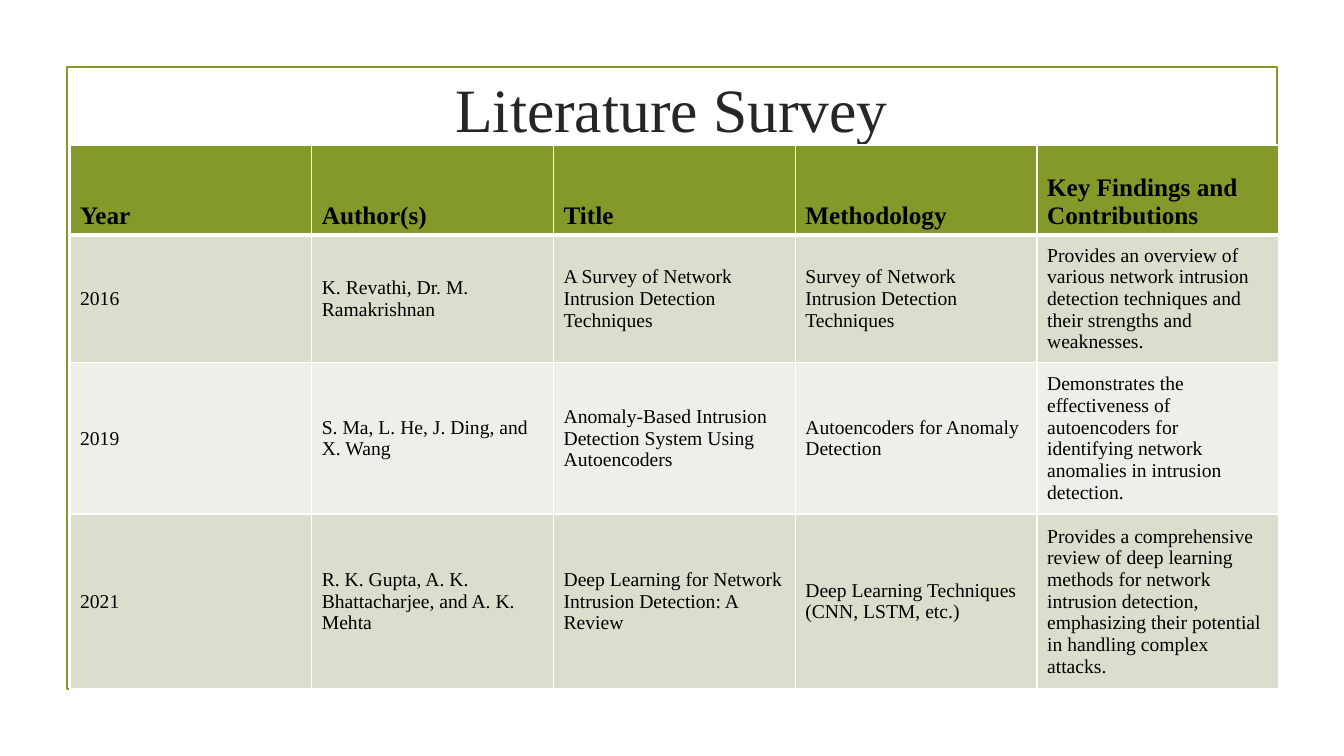
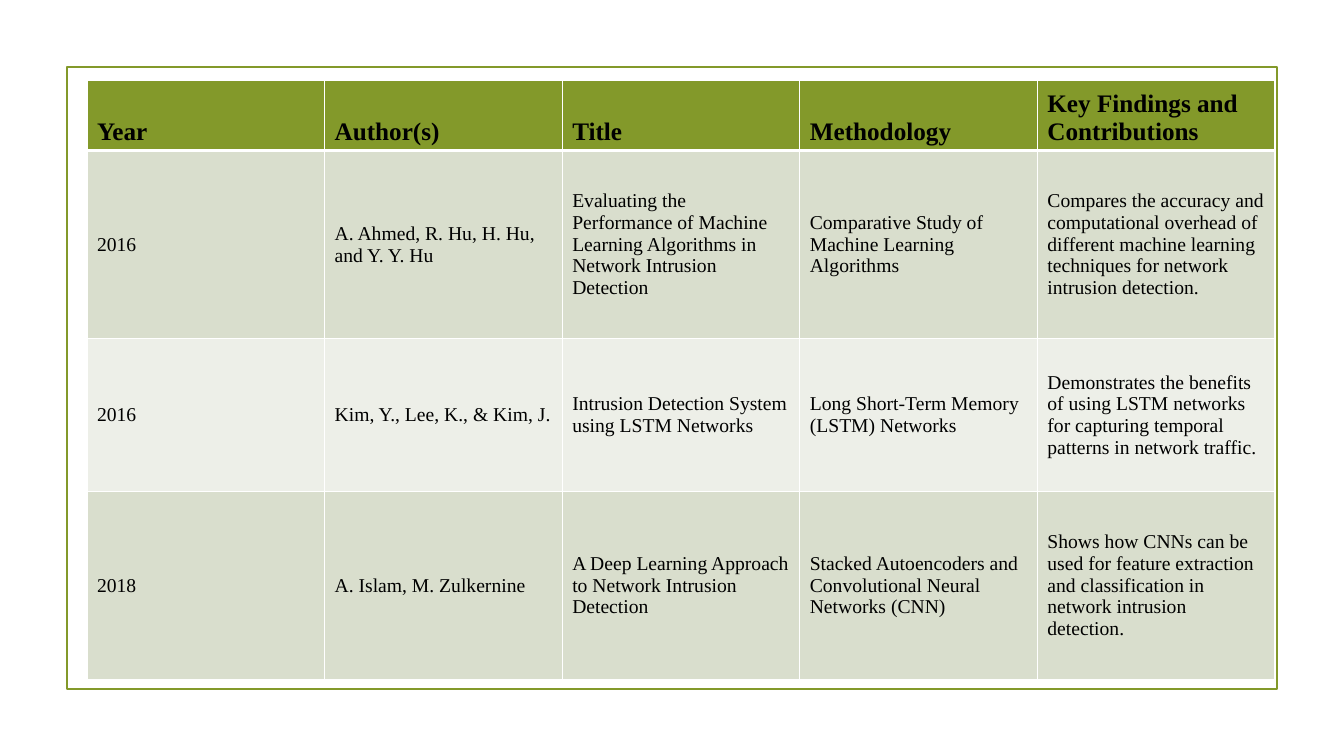
from dataclasses import dataclass

from lxml.etree import SubElement
from pptx import Presentation
from pptx.dml.color import RGBColor
from pptx.enum.shapes import MSO_SHAPE
from pptx.enum.text import MSO_ANCHOR, PP_ALIGN
from pptx.oxml.ns import qn
from pptx.util import Emu, Pt


@dataclass(frozen=True)
class Theme:
    font: str = "Times New Roman"
    green: str = "83992A"
    bands: tuple = ("D9DECD", "EDEFE8")
    grid: str = "FFFFFF"
    ink: str = "000000"
    title_ink: str = "262626"
    title_pt: int = 44
    head_pt: int = 18
    body_pt: int = 14
    frame_pt: float = 1.25
    grid_pt: int = 1
    head_rule_pt: int = 3


EMU_PER_PX = 914400 / 100.8

HEADERS = ("Year", "Author(s)", "Title", "Methodology", "Key Findings and Contributions")

SURVEYS = [
    {
        "title": "Literature Survey",
        "box": (70, 145, 1209),
        "heights": (90, 117, 139, 160),
        "rows": [
            ("2016", "K. Revathi, Dr. M. Ramakrishnan",
             "A Survey of Network Intrusion Detection Techniques",
             "Survey of Network Intrusion Detection Techniques",
             "Provides an overview of various network intrusion detection techniques "
             "and their strengths and weaknesses."),
            ("2019", "S. Ma, L. He, J. Ding, and X. Wang",
             "Anomaly-Based Intrusion Detection System Using Autoencoders",
             "Autoencoders for Anomaly Detection",
             "Demonstrates the effectiveness of autoencoders for identifying network "
             "anomalies in intrusion detection."),
            ("2021", "R. K. Gupta, A. K. Bhattacharjee, and A. K. Mehta",
             "Deep Learning for Network Intrusion Detection: A Review",
             "Deep Learning Techniques (CNN, LSTM, etc.)",
             "Provides a comprehensive review of deep learning methods for network "
             "intrusion detection, emphasizing their potential in handling complex attacks."),
        ],
    },
    {
        "title": None,
        "box": (87, 80, 1188),
        "heights": (60, 188, 153, 188),
        "rows": [
            ("2016", "A. Ahmed, R. Hu, H. Hu, and Y. Y. Hu",
             "Evaluating the Performance of Machine Learning Algorithms in Network "
             "Intrusion Detection",
             "Comparative Study of Machine Learning Algorithms",
             "Compares the accuracy and computational overhead of different machine "
             "learning techniques for network intrusion detection."),
            ("2016", "Kim, Y., Lee, K., & Kim, J.",
             "Intrusion Detection System using LSTM Networks",
             "Long Short-Term Memory (LSTM) Networks",
             "Demonstrates the benefits of using LSTM networks for capturing temporal "
             "patterns in network traffic."),
            ("2018", "A. Islam, M. Zulkernine",
             "A Deep Learning Approach to Network Intrusion Detection",
             "Stacked Autoencoders and Convolutional Neural Networks (CNN)",
             "Shows how CNNs can be used for feature extraction and classification in "
             "network intrusion detection."),
        ],
    },
]


def px(n):
    return Emu(round(n * EMU_PER_PX))


class Deck:
    """Holds the theme and the current slide, and draws each kind of element."""

    def __init__(self, theme):
        self.t = theme
        self.prs = Presentation()
        self.prs.slide_width, self.prs.slide_height = px(1344), px(756)
        self.s = None

    def slide(self):
        self.s = self.prs.slides.add_slide(self.prs.slide_layouts[6])
        self.frame()

    def frame(self):
        sp = self.s.shapes.add_shape(MSO_SHAPE.RECTANGLE, px(67), px(67), px(1210), px(622))
        sp.shadow.inherit = False
        sp.fill.background()
        sp.line.color.rgb = RGBColor.from_string(self.t.green)
        sp.line.width = Pt(self.t.frame_pt)

    def run(self, p, text, size, color, bold=False):
        r = p.add_run()
        r.text = text
        r.font.name, r.font.size, r.font.bold = self.t.font, Pt(size), bold
        r.font.color.rgb = RGBColor.from_string(color)

    def title(self, text):
        tf = self.s.shapes.add_textbox(px(143), px(36), px(1058), px(144)).text_frame
        tf.word_wrap = True
        tf.vertical_anchor = MSO_ANCHOR.MIDDLE
        p = tf.paragraphs[0]
        p.alignment = PP_ALIGN.CENTER
        self.run(p, text, self.t.title_pt, self.t.title_ink)

    def borders(self, cell, top, bottom):
        tc_pr = cell._tc.get_or_add_tcPr()
        thin = self.t.grid_pt
        for side, width in (("L", thin), ("R", thin), ("T", top), ("B", bottom)):
            ln = SubElement(tc_pr, qn(f"a:ln{side}"), w=str(Pt(width)))
            fill = SubElement(ln, qn("a:solidFill"))
            SubElement(fill, qn("a:srgbClr"), val=self.t.grid)

    def cell(self, cell, text, row):
        t = self.t
        head = row == 0
        self.borders(cell,
                     t.head_rule_pt if row == 1 else t.grid_pt,
                     t.head_rule_pt if head else t.grid_pt)
        cell.fill.solid()
        cell.fill.fore_color.rgb = RGBColor.from_string(
            t.green if head else t.bands[(row - 1) % len(t.bands)])
        cell.vertical_anchor = MSO_ANCHOR.BOTTOM if head else MSO_ANCHOR.MIDDLE
        self.run(cell.text_frame.paragraphs[0], text,
                 t.head_pt if head else t.body_pt, t.ink, bold=head)

    def table(self, box, heights, rows):
        x, y, w = box
        grid = [HEADERS, *rows]
        tbl = self.s.shapes.add_table(len(grid), len(HEADERS), px(x), px(y),
                                      px(w), px(sum(heights))).table
        tbl.horz_banding = False
        for i, (height, texts) in enumerate(zip(heights, grid)):
            tbl.rows[i].height = px(height)
            for j, text in enumerate(texts):
                self.cell(tbl.cell(i, j), text, i)


def main():
    deck = Deck(Theme())
    for survey in SURVEYS:
        deck.slide()
        if survey["title"]:
            deck.title(survey["title"])
        deck.table(survey["box"], survey["heights"], survey["rows"])
    deck.prs.save("out.pptx")


if __name__ == "__main__":
    main()
